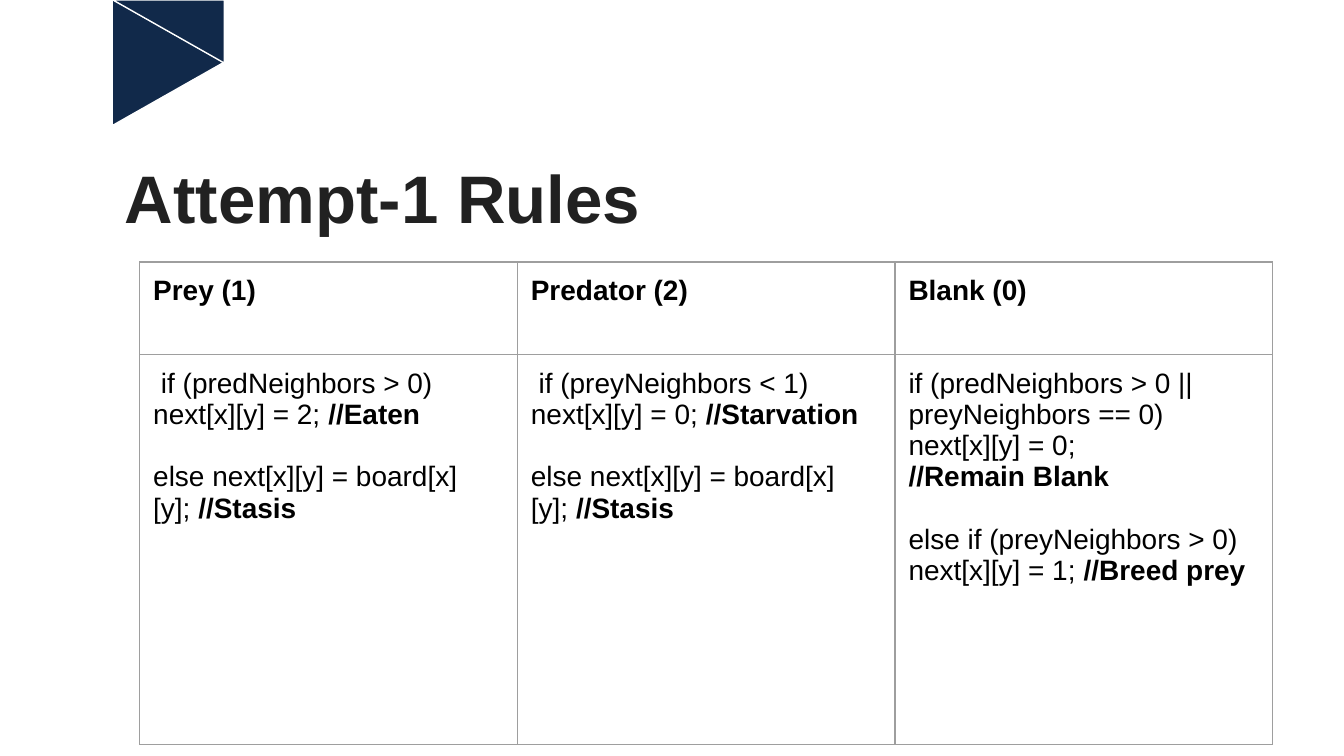
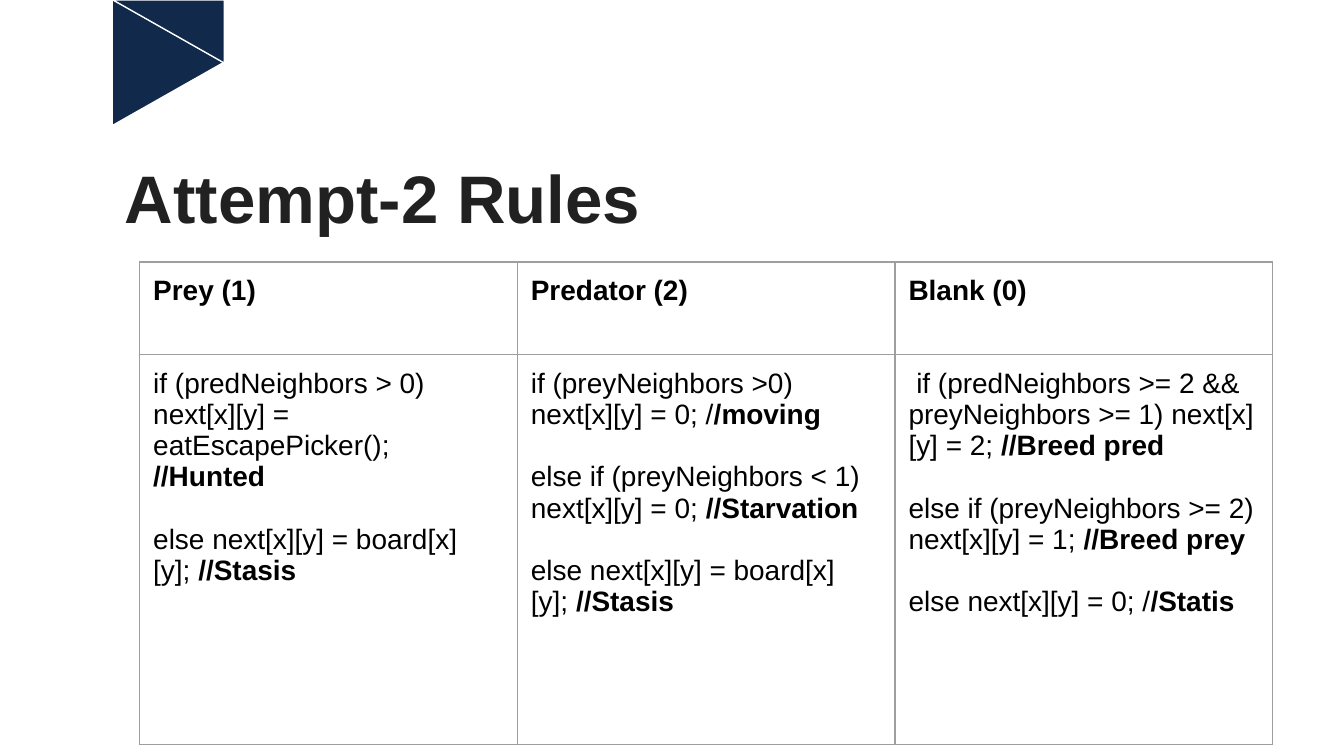
"""Build two slides of predator and prey rules, one table each."""
from lxml.etree import SubElement
from pptx import Presentation
from pptx.dml.color import RGBColor
from pptx.enum.shapes import MSO_SHAPE as Shape
from pptx.enum.text import MSO_ANCHOR as Anchor, MSO_AUTO_SIZE as AutoSize, PP_ALIGN as Align
from pptx.oxml.ns import qn
from pptx.util import Inches, Pt

NAVY, WHITE, INK, BLACK, GREY = "11294A", "FFFFFF", "212121", "000000", "9E9E9E"
MARGINS = {f"margin_{side}": Inches(0.1) for side in ("left", "top", "right", "bottom")}
COLUMN_WIDTH, ROW_HEIGHTS = 2.81, (0.69, 2.9)
HEADINGS = [[("", name)] for name in ("Prey (1)", "Predator (2)", "Blank (0)")]
STASIS = ("else next[x][y] = board[x][y]; ", "//Stasis")

RULES = {
    "Attempt-1 Rules": [
        [(" if (predNeighbors > 0) next[x][y] = 2; ", "//Eaten"), STASIS],
        [(" if (preyNeighbors < 1) next[x][y] = 0; ", "//Starvation"), STASIS],
        [
            ("if (predNeighbors > 0 || preyNeighbors == 0)", ""),
            ("next[x][y] = 0;", ""),
            ("", "//Remain Blank"),
            ("else if (preyNeighbors > 0) next[x][y] = 1; ", "//Breed prey"),
        ],
    ],
    "Attempt-2 Rules": [
        [("if (predNeighbors > 0) next[x][y] = eatEscapePicker(); ", "//Hunted"), STASIS],
        [
            ("if (preyNeighbors >0) next[x][y] = 0; /", "/moving"),
            ("else if (preyNeighbors < 1) next[x][y] = 0; ", "//Starvation"),
            STASIS,
        ],
        [
            (" if (predNeighbors >= 2 && preyNeighbors >= 1) next[x][y] = 2; ", "//Breed pred"),
            ("else if (preyNeighbors >= 2) next[x][y] = 1; ", "//Breed prey"),
            ("else next[x][y] = 0; /", "/Statis"),
        ],
    ],
}


def color(value):
    return RGBColor.from_string(value)


def add_span(para, text, size, ink, bold):
    span = para.add_run()
    span.text = text
    for name, value in {"name": "Arial", "size": Pt(size), "bold": bold}.items():
        setattr(span.font, name, value)
    span.font.color.rgb = color(ink)


deck = Presentation()
deck.slide_width, deck.slide_height = Inches(10), Inches(10 * 9 / 16)
layout = deck.slide_layouts[5]
pages = [deck.slides.add_slide(layout) for _ in RULES]

for kind, place, turn in (
    (Shape.ISOSCELES_TRIANGLE, (0.78, 0.05, 0.94, 0.83), 90),
    (Shape.RIGHT_TRIANGLE, (1.02, -0.18, 0.47, 0.83), 270),
):
    flag = pages[0].shapes.add_shape(kind, *map(Inches, place))
    flag.rotation = turn
    flag.shadow.inherit = False
    flag.fill.solid()
    flag.fill.fore_color.rgb = color(NAVY)
    flag.line.color.rgb = color(WHITE)
    flag.line.width = Pt(0.75)
    if kind == Shape.RIGHT_TRIANGLE:
        flag.element.spPr.find(qn("a:xfrm")).set("flipH", "1")
    layout.shapes.element.append(flag.element)

for page, (heading, rules) in zip(pages, RULES.items()):
    title = page.shapes.title
    title.left, title.top, title.width, title.height = map(Inches, (0.83, 0.92, 8.33, 0.94))
    frame = title.text_frame
    settings = {"vertical_anchor": Anchor.BOTTOM, "word_wrap": True, "auto_size": AutoSize.NONE}
    for name, value in {**MARGINS, **settings}.items():
        setattr(frame, name, value)
    frame.paragraphs[0].alignment = Align.LEFT
    add_span(frame.paragraphs[0], heading, 36, INK, True)

    table = page.shapes.add_table(
        2, 3, Inches(1.04), Inches(1.95), Inches(3 * COLUMN_WIDTH), Inches(sum(ROW_HEIGHTS))
    ).table
    table.first_row = table.horz_banding = False
    for column in table.columns:
        column.width = Inches(COLUMN_WIDTH)
    for row, height, contents in zip(table.rows, ROW_HEIGHTS, (HEADINGS, rules)):
        row.height = Inches(height)
        for cell, lines in zip(row.cells, contents):
            for name, value in {**MARGINS, "vertical_anchor": Anchor.TOP}.items():
                setattr(cell, name, value)
            properties = cell._tc.get_or_add_tcPr()
            for side in "LRTB":
                border = SubElement(properties, qn(f"a:ln{side}"), w=str(Pt(0.75)))
                SubElement(SubElement(border, qn("a:solidFill")), qn("a:srgbClr"), val=GREY)
            cell.fill.background()
            for index, (code, comment) in enumerate(lines):
                body = cell.text_frame
                para = body.add_paragraph() if index else body.paragraphs[0]
                if code.startswith("else"):
                    para.space_before = Pt(16.75)
                for text, bold in ((code, False), (comment, True)):
                    if text:
                        add_span(para, text, 15, BLACK, bold)

deck.save("out.pptx")
